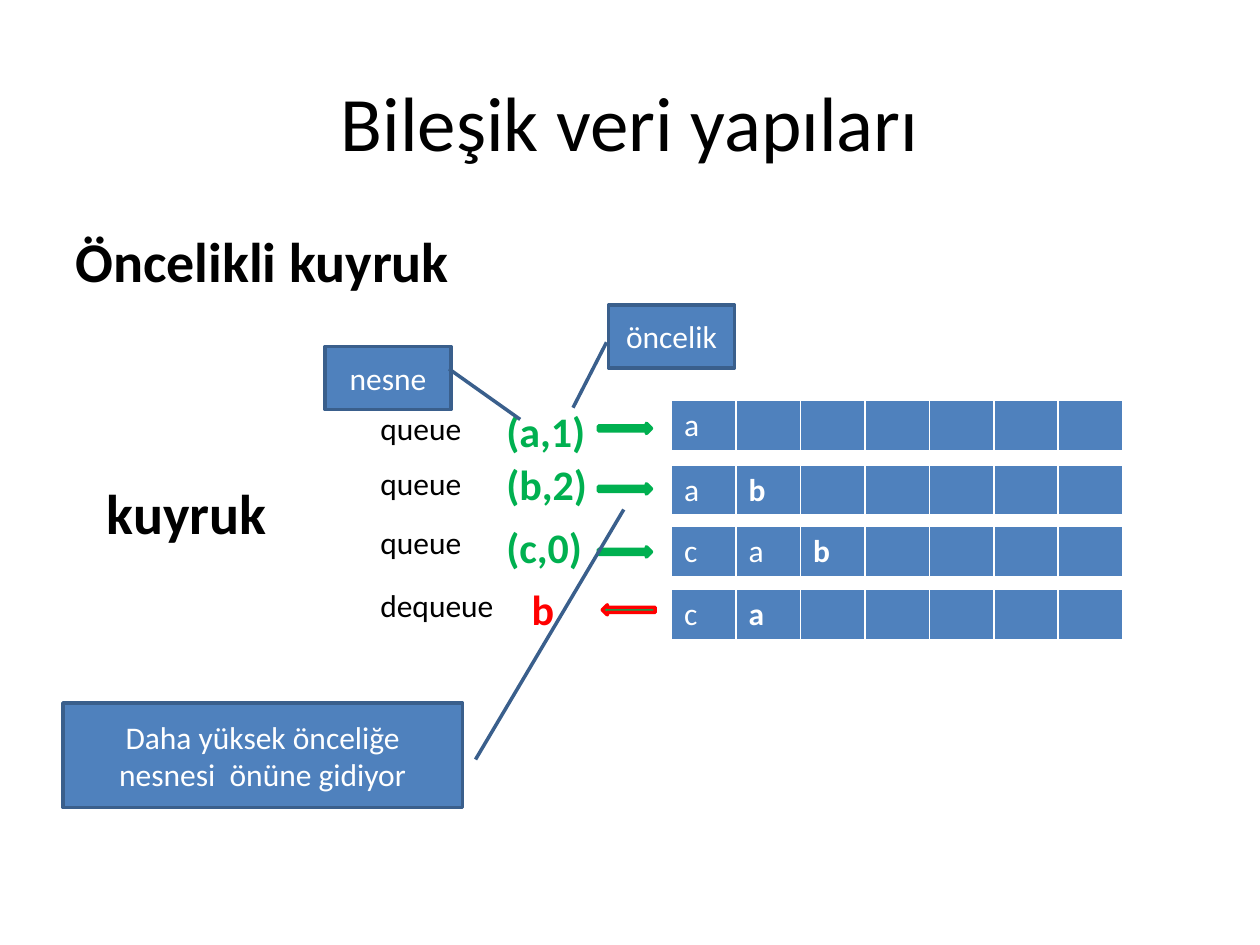
"""Build the slide on priority queues."""
from dataclasses import dataclass

from lxml import etree
from pptx import Presentation
from pptx.dml.color import RGBColor
from pptx.enum.shapes import MSO_SHAPE
from pptx.enum.text import MSO_ANCHOR, PP_ALIGN
from pptx.oxml.ns import qn
from pptx.slide import Slide
from pptx.util import Inches, Pt

ARROW = MSO_SHAPE.RIGHT_ARROW
CALLOUT = MSO_SHAPE.LINE_CALLOUT_1
MIDDLE = MSO_ANCHOR.MIDDLE
LEFT = PP_ALIGN.LEFT
CENTER = PP_ALIGN.CENTER
COLORS = {
    "black": "000000", "white": "FFFFFF", "blue": "4F81BD",
    "outline": "3A5F8C", "green": "00B050", "red": "FF0000",
}
CELL_COUNT = 7
BORDERS = {"a:lnL": 1, "a:lnR": 1, "a:lnT": 1, "a:lnB": 3}
STEPS = [
    ("queue", 3.2, "(a,1)", 3.92, 3.17, 3.36, 3.18, ["a"], None),
    ("queue", 3.63, "(b,2)", 3.92, 3.59, 3.84, 3.69, ["a", "b"], 1),
    ("queue", 4.1, "(c,0)", 3.92, 4.09, 4.34, 4.18, ["c", "a", "b"], 2),
    ("dequeue", 4.6, "b", 4.12, 4.58, 4.8, 4.68, ["c", "a"], 1),
]
CALLOUTS = [
    ("nesne", (2.58, 2.75, 1, 0.5), (0.357, 0.984, 1.159, 1.549)),
    ("öncelik", (4.83, 2.42, 1, 0.5), (0.594, -0.016, 1.633, -0.282)),
    ("Daha yüksek önceliğe nesnesi  önüne gidiyor",
     (0.5, 5.58, 3.17, 0.83), (0.54, 1.033, -1.851, 1.404)),
]


@dataclass
class SlideBuilder:
    """Hold the style and the current slide."""

    slide: Slide
    font: str = "Calibri"

    def fill_text(self, frame, text, size, color="black", bold=False, align=LEFT):
        """Fill a text frame with one styled paragraph."""
        paragraph = frame.paragraphs[0]
        paragraph.text = text
        paragraph.alignment = align
        paragraph.font.name = self.font
        paragraph.font.size = Pt(size)
        paragraph.font.bold = bold
        paragraph.font.color.rgb = RGBColor.from_string(COLORS[color])

    def title(self, text):
        """Place and fill the title."""
        shape = self.slide.shapes.title
        shape.left, shape.top = Inches(0.5), Inches(0.33)
        shape.width, shape.height = Inches(9), Inches(1.25)
        shape.text_frame.vertical_anchor = MIDDLE
        self.fill_text(shape.text_frame, text, 44, align=CENTER)

    def text(self, text, box, size, color="black", bold=False, wrap=False):
        """Add a text box."""
        shape = self.slide.shapes.add_textbox(*map(Inches, box))
        shape.text_frame.word_wrap = wrap
        self.fill_text(shape.text_frame, text, size, color, bold)

    def shape(self, kind, box, fill, line):
        """Add a filled and outlined preset shape."""
        shape = self.slide.shapes.add_shape(kind, *map(Inches, box))
        shape.shadow.inherit = False
        shape.fill.solid()
        shape.fill.fore_color.rgb = RGBColor.from_string(COLORS[fill])
        shape.line.color.rgb = RGBColor.from_string(COLORS[line])
        shape.line.width = Pt(2)
        return shape

    def arrow(self, left, top, line, rotation):
        """Add a small block arrow."""
        shape = self.shape(ARROW, (left, top, 0.42, 0.08), "green", line)
        shape.rotation = rotation

    def callout(self, text, box, pointer):
        """Add a callout whose pointer is given as fractions of its box."""
        shape = self.shape(CALLOUT, box, "blue", "outline")
        for index, value in enumerate(pointer):
            shape.adjustments[index] = value
        shape.text_frame.word_wrap = True
        shape.text_frame.vertical_anchor = MIDDLE
        self.fill_text(shape.text_frame, text, 18, "white", align=CENTER)

    def border(self, cell):
        """Give a cell white borders."""
        properties = cell._tc.get_or_add_tcPr()
        for index, (tag, width) in enumerate(BORDERS.items()):
            line = etree.Element(qn(tag), w=str(Pt(width)))
            fill = etree.SubElement(line, qn("a:solidFill"))
            etree.SubElement(fill, qn("a:srgbClr"), val=COLORS["white"])
            properties.insert(index, line)

    def queue(self, top, items, bold_index):
        """Add a one-row table showing the queue."""
        box = map(Inches, (5.33, top, 3.58, 0.41))
        table = self.slide.shapes.add_table(1, CELL_COUNT, *box).table
        table.first_row = table.horz_banding = False
        for index, cell in enumerate(table.iter_cells()):
            cell.fill.solid()
            cell.fill.fore_color.rgb = RGBColor.from_string(COLORS["blue"])
            self.border(cell)
            text = items[index] if index < len(items) else ""
            self.fill_text(cell.text_frame, text, 18, "white", index == bold_index)


def main():
    """Create and save the presentation."""
    presentation = Presentation()
    presentation.slide_width, presentation.slide_height = Inches(10), Inches(7.5)
    slide = presentation.slides.add_slide(presentation.slide_layouts[5])
    builder = SlideBuilder(slide)
    builder.title("Bileşik veri yapıları")
    builder.text("Öncelikli kuyruk", (0.5, 1.75, 9, 4.95), 32, bold=True, wrap=True)
    builder.text("kuyruk", (0.75, 3.75, 1.48, 0.64), 32, bold=True)
    for (action, action_top, item, item_left, item_top,
         arrow_top, queue_top, items, bold_index) in STEPS:
        removing = action == "dequeue"
        color = "red" if removing else "green"
        builder.queue(queue_top, items, bold_index)
        builder.text(action, (2.92, action_top, 1.11 if removing else 0.85, 0.4), 18)
        builder.text(item, (item_left, item_top, 0.38 if removing else 0.84, 0.5),
                     24, color, bold=True)
        builder.arrow(4.78 if removing else 4.75, arrow_top, color,
                      180 if removing else 0)
    for text, box, pointer in CALLOUTS:
        builder.callout(text, box, pointer)
    presentation.save("out.pptx")


if __name__ == "__main__":
    main()
